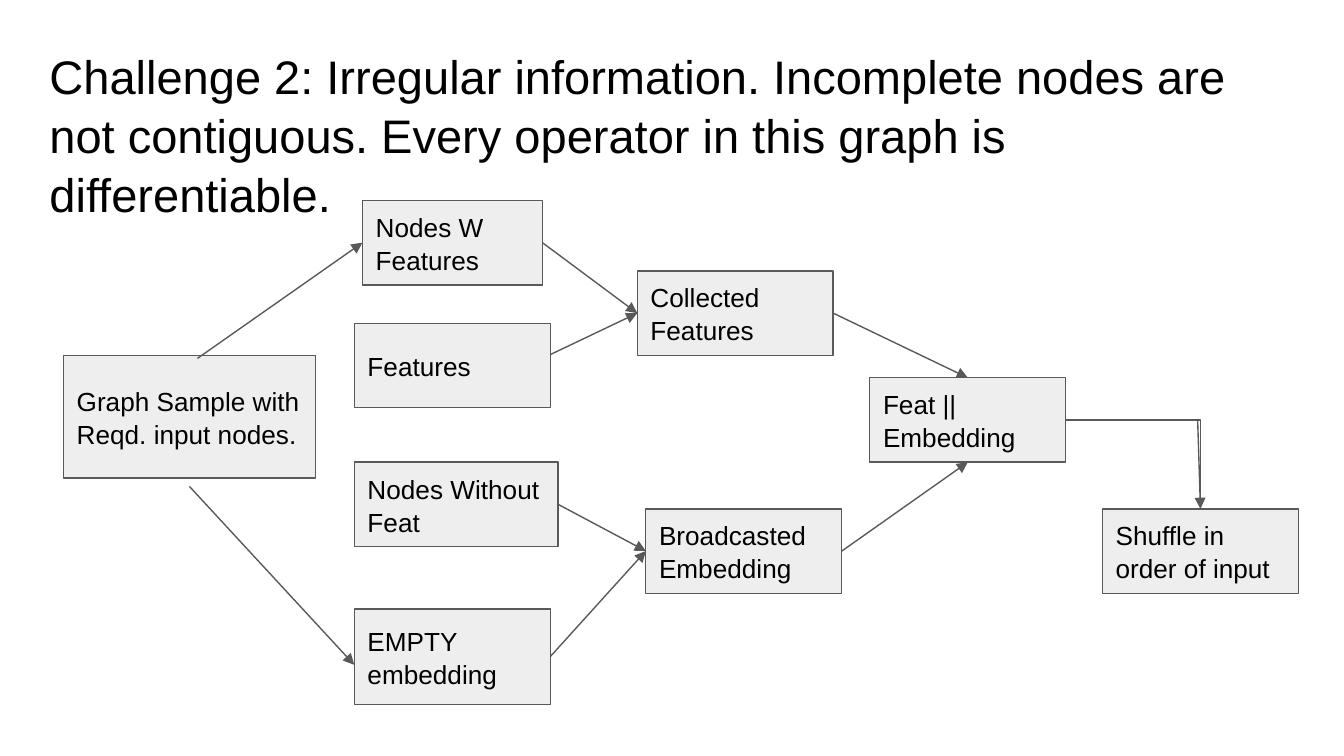
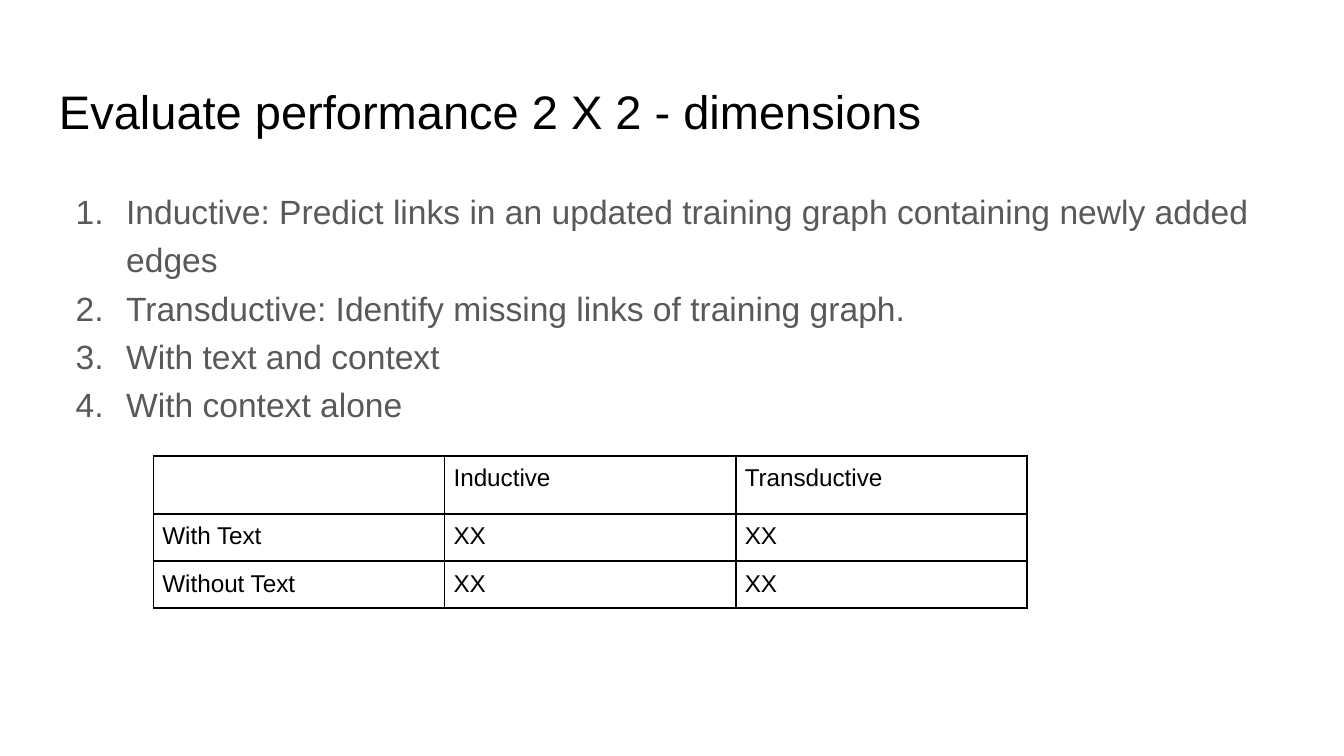
import dataclasses
import typing

import pptx
import pptx.dml.color
import pptx.enum.shapes
import pptx.enum.text
import pptx.oxml
import pptx.oxml.ns
import pptx.util

Pt = pptx.util.Pt
FONT = "Arial"
BLACK, GREY, PALE, WHITE = "000000", "595959", "EEEEEE", "FFFFFF"
TOP, LEFT, BASE, RIGHT = range(4)
INSET = 7.2


@dataclasses.dataclass(frozen=True)
class Box:
    name: str
    text: str
    x: float
    y: float
    w: float = 105
    h: float = 45.2


@dataclasses.dataclass(frozen=True)
class Link:
    start: tuple
    end: tuple
    bent: bool = False


BOXES = [
    Box("sample", "Graph Sample with\nReqd. input nodes.", 34, 190.4, 135, 65.8),
    Box("known", "Nodes W Features", 194.2, 107.4, 96.4),
    Box("bare", "Nodes Without Feat", 189.8, 247.6, 109.2),
    Box("feats", "Features", 189.8, 173.2),
    Box("empty", "EMPTY embedding", 189.8, 326.2, h=51.2),
    Box("found", "Collected Features", 341.4, 145.2),
    Box("cast", "Broadcasted\nEmbedding", 346, 272.6),
    Box("joined", "Feat || Embedding", 466, 202.4),
    Box("output", "Shuffle in order of input", 590.6, 272.6),
]

LINKS = [
    Link((105.8, 192), ("known", LEFT)),
    Link((101.5, 260.6), (189.8, 356.2)),
    Link((294.8, 190), ("found", LEFT)),
    Link(("known", RIGHT), ("found", LEFT)),
    Link(("bare", RIGHT), ("cast", LEFT)),
    Link(("empty", RIGHT), ("cast", LEFT)),
    Link(("found", RIGHT), ("joined", TOP)),
    Link(("cast", RIGHT), ("joined", BASE)),
    Link(("joined", RIGHT), ("output", TOP), bent=True),
    Link((641.6, 225), ("output", TOP)),
]

ITEMS = [
    "Inductive: Predict links in an updated training graph containing newly added edges",
    "Transductive: Identify missing links of training graph.",
    "With text and context",
    "With context alone",
]

GRID = [
    ["", "Inductive", "Transductive"],
    ["With Text", "XX", "XX"],
    ["Without Text", "XX", "XX"],
]


def color(code: str) -> pptx.dml.color.RGBColor:
    return pptx.dml.color.RGBColor.from_string(code)


def add_xml(host: typing.Any, body: str) -> None:
    tag, _, rest = body.partition(" ")
    space = pptx.oxml.ns.nsdecls("a")
    host.append(pptx.oxml.parse_xml(f"<a:{tag} {space} {rest}"))


def style(frame: typing.Any, size: float, code: str,
          gap: typing.Optional[float] = None, pad: float = INSET) -> None:
    for para in frame.paragraphs:
        para.alignment = pptx.enum.text.PP_ALIGN.LEFT
        if gap:
            para.line_spacing = gap
        for run in para.runs:
            run.font.name = FONT
            run.font.size = Pt(size)
            run.font.color.rgb = color(code)
    frame.word_wrap = True
    frame.margin_left = frame.margin_right = Pt(pad)
    frame.margin_top = frame.margin_bottom = Pt(pad)


def add_text(slide: typing.Any, text: str, x: float, y: float, w: float,
             h: float, size: float, code: str, gap: float) -> typing.Any:
    frame = slide.shapes.add_textbox(Pt(x), Pt(y), Pt(w), Pt(h)).text_frame
    frame.text = text
    style(frame, size, code, gap)
    return frame


def add_page(deck: typing.Any, title: str, x: float, y: float) -> typing.Any:
    slide = deck.slides.add_slide(deck.slide_layouts[6])
    slide.background.fill.solid()
    slide.background.fill.fore_color.rgb = color(WHITE)
    add_text(slide, title, x, y, 671, 45.2, 25.2, BLACK, 1.05)
    return slide


def add_box(slide: typing.Any, box: Box) -> typing.Any:
    kind = pptx.enum.shapes.MSO_SHAPE.RECTANGLE
    shape = slide.shapes.add_shape(kind, Pt(box.x), Pt(box.y), Pt(box.w), Pt(box.h))
    shape.shadow.inherit = False
    shape.fill.solid()
    shape.fill.fore_color.rgb = color(PALE)
    shape.line.color.rgb = color(GREY)
    shape.line.width = Pt(0.75)
    shape.text_frame.text = box.text
    shape.text_frame.vertical_anchor = pptx.enum.text.MSO_ANCHOR.MIDDLE
    style(shape.text_frame, 14, BLACK, 1.05)
    return shape


def spot(end: tuple, shapes: dict) -> tuple:
    if end[0] not in shapes:
        return Pt(end[0]), Pt(end[1])
    shape, side = shapes[end[0]], end[1]
    across = {LEFT: 0, RIGHT: 2}.get(side, 1)
    down = {TOP: 0, BASE: 2}.get(side, 1)
    return (shape.left + shape.width * across // 2,
            shape.top + shape.height * down // 2)


def add_link(slide: typing.Any, link: Link, shapes: dict) -> None:
    kinds = pptx.enum.shapes.MSO_CONNECTOR
    kind = kinds.ELBOW if link.bent else kinds.STRAIGHT
    line = slide.shapes.add_connector(
        kind, *spot(link.start, shapes), *spot(link.end, shapes))
    if link.start[0] in shapes:
        line.begin_connect(shapes[link.start[0]], link.start[1])
    if link.end[0] in shapes:
        line.end_connect(shapes[link.end[0]], link.end[1])
    line.line.color.rgb = color(GREY)
    line.line.width = Pt(0.75)
    props = line._element.spPr
    if link.bent:
        props.find(pptx.oxml.ns.qn("a:prstGeom")).set("prst", "bentConnector2")
    else:
        add_xml(line.line._get_or_add_ln(), 'tailEnd type="triangle"/>')
    add_xml(props, "effectLst />")


def add_list(slide: typing.Any) -> None:
    frame = add_text(slide, "\n".join(ITEMS), 24.5, 90.7, 671, 269.3, 18, GREY, 1.2)
    for para in frame.paragraphs:
        props = para._p.get_or_add_pPr()
        props.set("marL", str(Pt(36)))
        props.set("indent", str(Pt(-27)))
        add_xml(props, f'buClr ><a:srgbClr val="{GREY}"/></a:buClr>')
        add_xml(props, f'buFont typeface="{FONT}"/>')
        add_xml(props, 'buAutoNum type="arabicPeriod"/>')


def add_grid(slide: typing.Any) -> None:
    highs = [30.3, 24.5, 24.5]
    wide = 156
    table = slide.shapes.add_table(
        len(GRID), len(GRID[0]), Pt(82.2), Pt(244.2),
        Pt(wide * len(GRID[0])), Pt(sum(highs))).table
    table.first_row = table.horz_banding = False
    for col in table.columns:
        col.width = Pt(wide)
    for row, high, words in zip(table.rows, highs, GRID):
        row.height = Pt(high)
        for cell, word in zip(row.cells, words):
            if word:
                cell.text_frame.text = word
                style(cell.text_frame, 13, BLACK)
            cell.margin_left = cell.margin_right = Pt(4.8)
            cell.margin_top = cell.margin_bottom = Pt(4.8)
            props = cell._tc.get_or_add_tcPr()
            for edge in "LRTB":
                add_xml(props, f'ln{edge} w="{Pt(1)}"><a:solidFill><a:srgbClr '
                               f'val="{BLACK}"/></a:solidFill></a:ln{edge}>')
            cell.fill.background()


def main() -> None:
    deck = pptx.Presentation()
    deck.slide_width, deck.slide_height = Pt(720), Pt(405)
    flow = add_page(
        deck, "Challenge 2: Irregular information. Incomplete nodes are not "
        "contiguous. Every operator in this graph is differentiable.", 19.4, 16.6)
    shapes = {box.name: add_box(flow, box) for box in BOXES}
    for link in LINKS:
        add_link(flow, link, shapes)
    tests = add_page(deck, "Evaluate performance 2 X 2 - dimensions", 24.5, 35.3)
    add_list(tests)
    add_grid(tests)
    deck.save("out.pptx")


if __name__ == "__main__":
    main()
